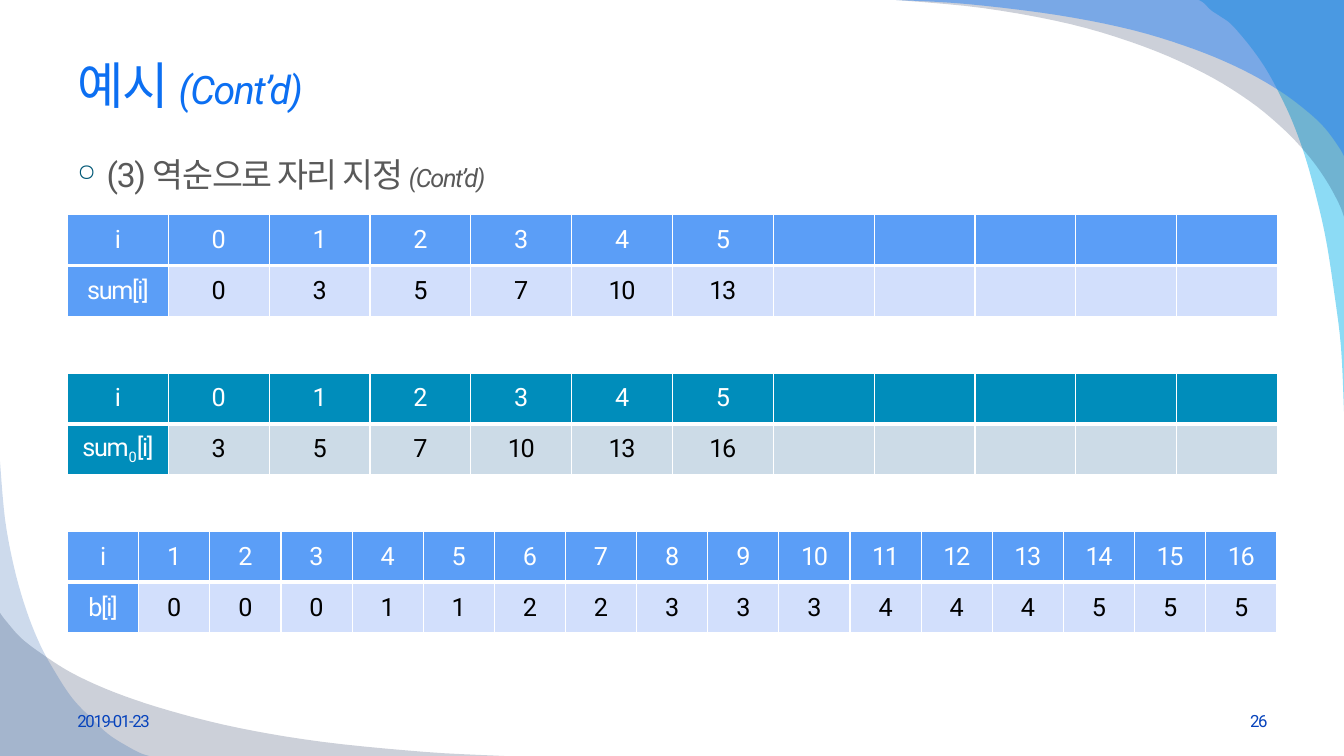
from lxml.etree import SubElement
from pptx import Presentation
from pptx.dml.color import RGBColor
from pptx.enum.text import MSO_ANCHOR, PP_ALIGN
from pptx.oxml.ns import qn
from pptx.util import Inches, Pt

COLORS = {
    "title": "0C6FF2", "body": "595959", "footer": "0743BC", "bullet": "005876",
    "white": "FFFFFF", "black": "000000", "blue": "5B9EF7", "pale_blue": "D2DFFC",
    "teal": "008DBB", "pale_teal": "CCDBE7",
    "cyan": "00B1E9", "navy": "021741", "azure": "247FF4", "royal": "084AA1",
}
WAVES = [
    ((11.89, 0, 1.44, 4.08), "cyan", 45, (1.44, 0),
     [(0, 0), (0.05, 0.03), (0.12, 0.1), (0.21, 0.16), (0.31, 0.23), (0.42, 0.35),
      (0.54, 0.5), (0.67, 0.69), (0.8, 0.93), (0.93, 1.21), (1.05, 1.54), (1.16, 1.93),
      (1.26, 2.37), (1.34, 2.88), (1.41, 3.44), (1.44, 4.08)]),
    ((8.89, 0, 4.44, 2.15), "navy", 20, (4.44, 0),
     [(4.44, 2.15), (4.39, 2.02), (4.27, 1.8), (4.1, 1.56), (3.85, 1.29), (3.5, 1),
      (3.04, 0.72), (2.45, 0.46), (1.73, 0.24), (0.86, 0.08), (0, 0)]),
    ((8.89, 0, 4.44, 1.55), "azure", 49, (4.44, 0),
     [(4.44, 1.55), (4.39, 1.46), (4.25, 1.27), (4.07, 1.1), (3.8, 0.9), (3.43, 0.69),
      (2.96, 0.49), (2.35, 0.3), (1.6, 0.15), (0.7, 0.04), (0, 0)]),
    ((0, 6.08, 5, 1.42), "navy", 20, (0, 1.42),
     [(0, 0), (0.06, 0.08), (0.21, 0.25), (0.42, 0.41), (0.72, 0.6), (1.14, 0.79),
      (1.68, 0.97), (2.36, 1.14), (3.2, 1.28), (4.22, 1.38), (5, 1.42)]),
    ((0, 4.58, 1.48, 2.92), "royal", 20, (0, 2.92),
     [(1.48, 2.92), (1.39, 2.89), (1.24, 2.81), (1.07, 2.7), (0.89, 2.53), (0.72, 2.35),
      (0.56, 2.11), (0.4, 1.82), (0.26, 1.47), (0.14, 1.05), (0.05, 0.57), (0, 0)]),
]
INDEX = ["0", "1", "2", "3", "4", "5"]
TABLES = [
    (2.13, 12, "blue", ["i"] + INDEX, ["sum[i]", "0", "3", "5", "7", "10", "13"]),
    (3.7, 12, "teal", ["i"] + INDEX,
     [("sum", "0", "[i]"), "3", "5", "7", "10", "13", "16"]),
    (5.27, 17, "blue", ["i"] + [str(n) for n in range(1, 17)],
     ["b[i]"] + list("0001122333444555")),
]


def rgb(name):
    """Return the named colour."""
    return RGBColor.from_string(COLORS[name])


def add_run(p, text, color, size, italic=None, baseline=None):
    """Add one formatted run to a paragraph."""
    r = p.add_run()
    r.text = text
    fmt = {"name": "Roboto", "size": Pt(size), "italic": italic}
    for key, value in fmt.items():
        setattr(r.font, key, value)
    r.font.color.rgb = rgb(color)
    rPr = r._r.get_or_add_rPr()
    rPr.set("spc", "-100")
    if baseline:
        rPr.set("baseline", str(baseline))


def smooth(points, steps=5):
    """Return a finer curve passing through the points."""
    padded = [points[0]] + points + [points[-1]]
    curve = [points[0]]
    for a, b, c, d in zip(padded, padded[1:], padded[2:], padded[3:]):
        for n in range(1, steps + 1):
            t = n / steps
            curve.append(tuple(
                0.5 * (2 * q + (r - p) * t + (2 * p - 5 * q + 4 * r - s) * t ** 2
                       + (3 * q - p - 3 * r + s) * t ** 3)
                for p, q, r, s in zip(a, b, c, d)))
    return curve


def add_wave(slide, box, color, opacity, corner, points):
    """Draw a translucent wave between a corner and a curve in the box."""
    x, y = box[:2]
    outline = [(Inches(x + dx), Inches(y + dy)) for dx, dy in [corner] + smooth(points)]
    builder = slide.shapes.build_freeform(*outline[0])
    builder.add_line_segments(outline[1:], close=True)
    s = builder.convert_to_shape()
    s.shadow.inherit = False
    s.fill.solid()
    s.fill.fore_color.rgb = rgb(color)
    s.line.fill.background()
    tone = s._element.spPr.find(".//" + qn("a:srgbClr"))
    SubElement(tone, qn("a:alpha"), val=str(opacity * 1000))


def add_text(slide, box, color, runs, anchor=MSO_ANCHOR.MIDDLE, align=PP_ALIGN.LEFT):
    """Fill the box with one paragraph of runs and return the paragraph."""
    tf = slide.shapes.add_textbox(*map(Inches, box)).text_frame
    for key, value in {"word_wrap": True, "vertical_anchor": anchor}.items():
        setattr(tf, key, value)
    p = tf.paragraphs[0]
    p.alignment = align
    for text, size, italic in runs:
        add_run(p, text, color, size, italic)
    return p


def add_body(slide, box):
    """Place the bulleted step line."""
    p = add_text(slide, box, "body",
                 [("(3) 역순으로 자리 지정 ", 24, None), ("(Cont’d)", 18, True)],
                 MSO_ANCHOR.TOP)
    pPr = p._p.get_or_add_pPr()
    pPr.set("marL", str(Inches(0.29)))
    pPr.set("indent", str(Inches(-0.29)))
    SubElement(SubElement(pPr, qn("a:buClr")), qn("a:srgbClr"), val=COLORS["bullet"])
    SubElement(pPr, qn("a:buSzPct"), val="70000")
    SubElement(pPr, qn("a:buChar"), char="○")


def format_cell(cell, row, fill):
    """Give a cell white borders, a fill and a middle anchor."""
    tcPr = cell._tc.get_or_add_tcPr()
    thick = "lnT" if row else "lnB"
    for side in ("lnL", "lnR", "lnT", "lnB"):
        ln = SubElement(tcPr, qn("a:" + side), w=str(Pt(3 if side == thick else 1)))
        SubElement(SubElement(ln, qn("a:solidFill")), qn("a:srgbClr"), val=COLORS["white"])
    cell.fill.solid()
    cell.fill.fore_color.rgb = rgb(fill)
    cell.vertical_anchor = MSO_ANCHOR.MIDDLE


def add_array(slide, box, count, tone, *rows):
    """Draw an array as an index row above a value row."""
    table = slide.shapes.add_table(2, count, *map(Inches, box)).table
    for column in table.columns:
        column.width = Inches(box[2] / count)
    for i, values in enumerate(rows):
        for j in range(count):
            cell = table.cell(i, j)
            is_value = i == 1 and j > 0
            format_cell(cell, i, "pale_" + tone if is_value else tone)
            if j >= len(values):
                continue
            p = cell.text_frame.paragraphs[0]
            p.alignment = PP_ALIGN.CENTER
            parts = values[j] if isinstance(values[j], tuple) else (values[j],)
            for n, text in enumerate(parts):
                add_run(p, text, "black" if is_value else "white", 18,
                        baseline=-25000 if n == 1 else None)


def main():
    """Build and save the slide."""
    prs = Presentation()
    prs.slide_width, prs.slide_height = Inches(13.33), Inches(7.5)
    slide = prs.slides.add_slide(prs.slide_layouts[6])
    for wave in WAVES:
        add_wave(slide, *wave)
    add_text(slide, (0.67, 0.33, 12, 1.01), "title",
             [("예시 ", 36, None), ("(Cont’d)", 28, True)])
    add_body(slide, (0.67, 1.48, 12, 5.22))
    add_text(slide, (0.67, 6.95, 3.11, 0.4), "footer", [("2019-01-23", 12, None)])
    add_text(slide, (9.56, 6.95, 3.11, 0.4), "footer", [("26", 12, None)],
             align=PP_ALIGN.RIGHT)
    for top, *content in TABLES:
        add_array(slide, (0.67, top, 12, 1.01), *content)
    prs.save("out.pptx")


if __name__ == "__main__":
    main()
